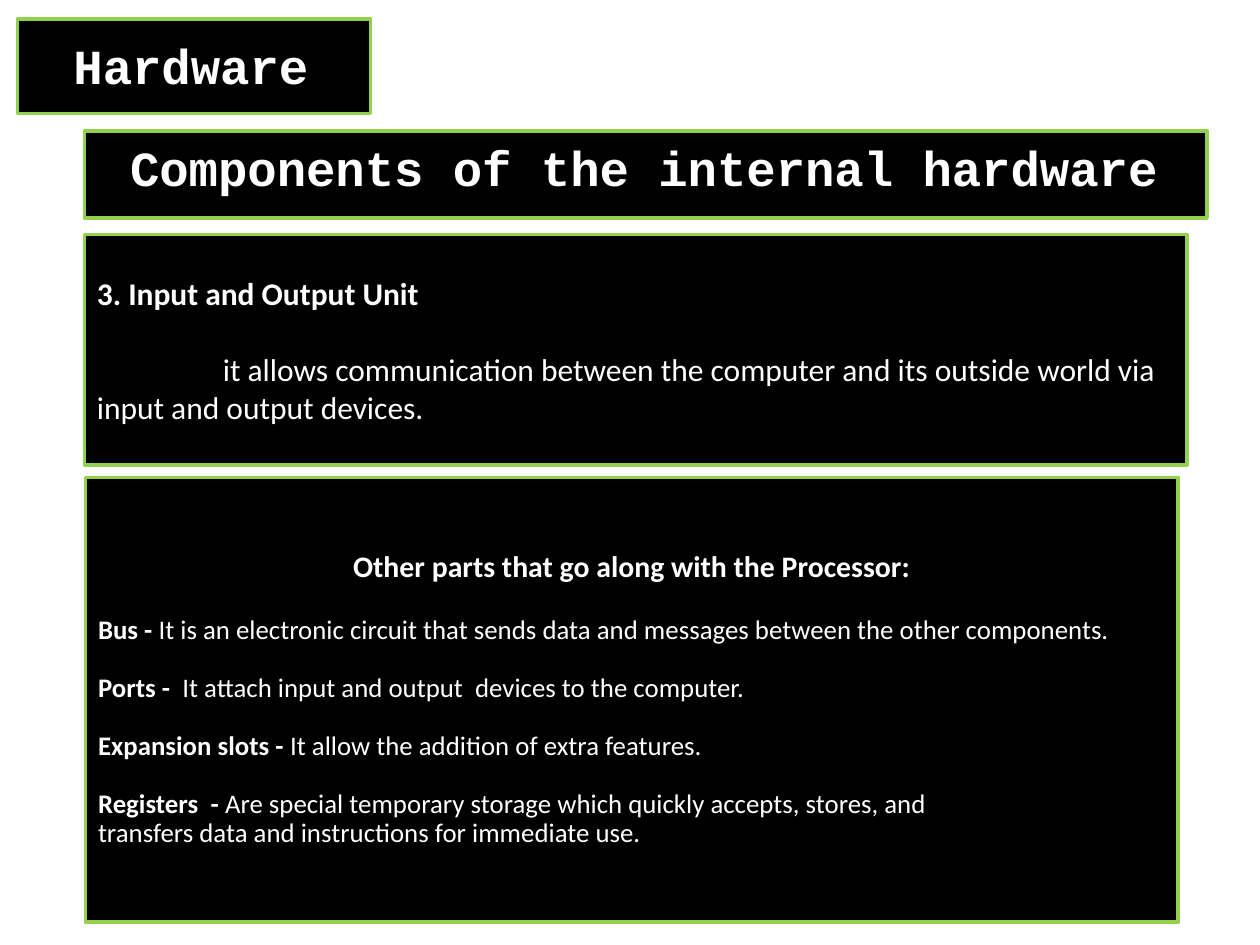
from pptx import Presentation
from pptx.dml.color import RGBColor
from pptx.enum.shapes import MSO_SHAPE
from pptx.enum.text import MSO_ANCHOR, MSO_AUTO_SIZE, PP_ALIGN
from pptx.util import Inches, Pt

COLORS = {"panel": "000000", "border": "92D050", "text": "FFFFFF"}
COLUMNS, ROWS = 100, 75
CELL = Inches(10) // COLUMNS
HEADING_FONT, BODY_FONT = "Courier New", "Calibri"

PARTS = [
    ("Bus - ", "It is an electronic circuit that sends data and messages between the other components."),
    ("Ports - ", " It attach input and output  devices to the computer."),
    ("Expansion slots - ", "It allow the addition of extra features."),
    ("Registers  - ", "Are special temporary storage which quickly accepts, stores, and\v"
                      "transfers data and instructions for immediate use."),
]


def color(name):
    return RGBColor.from_string(COLORS[name])


def on_grid(*cells):
    return [round(cell * CELL) for cell in cells]


def add_panel(shapes, area):
    panel = shapes.add_shape(MSO_SHAPE.RECTANGLE, *on_grid(*area))
    panel.shadow.inherit = False
    panel.fill.solid()
    panel.fill.fore_color.rgb = color("panel")
    panel.line.color.rgb = color("border")
    panel.line.width = Pt(2)
    panel.text_frame.word_wrap = True
    panel.text_frame.vertical_anchor = MSO_ANCHOR.MIDDLE
    return panel


def style_paragraph(paragraph, font_name, size, bold=None, align=PP_ALIGN.LEFT):
    paragraph.alignment = align
    paragraph.font.name = font_name
    paragraph.font.size = Pt(size)
    paragraph.font.bold = bold
    paragraph.font.color.rgb = color("text")


def add_heading(page, text, panel_area, text_area):
    group = page.shapes.add_group_shape()
    add_panel(group.shapes, panel_area)
    box = group.shapes.add_textbox(*on_grid(*text_area))
    frame = box.text_frame
    frame.word_wrap = True
    frame.auto_size = MSO_AUTO_SIZE.SHAPE_TO_FIT_TEXT
    paragraph = frame.paragraphs[0]
    paragraph.text = text
    style_paragraph(paragraph, HEADING_FONT, 28, True, PP_ALIGN.CENTER)


def add_unit(page, area, title, description):
    frame = add_panel(page.shapes, area).text_frame
    heading = frame.paragraphs[0]
    heading.text = title
    style_paragraph(heading, BODY_FONT, 18, True)
    body = frame.add_paragraph()
    body.text = description
    style_paragraph(body, BODY_FONT, 18)
    body.space_before = Pt(22)
    body._p.get_or_add_pPr().set("indent", str(Inches(1)))


def add_definition(frame, term, meaning, gap):
    paragraph = frame.add_paragraph()
    style_paragraph(paragraph, BODY_FONT, 15.3)
    paragraph.line_spacing = 0.9
    paragraph.space_before = Pt(gap)
    span = paragraph.add_run()
    span.text = term
    span.font.bold = True
    for index, line in enumerate(meaning.split("\v")):
        if index:
            paragraph.add_line_break()
        paragraph.add_run().text = line
    for span in paragraph.runs:
        span.font.size = Pt(15.3)
        span.font.name = BODY_FONT
        span.font.color.rgb = color("text")


def add_definitions(page, area, title, definitions):
    frame = add_panel(page.shapes, area).text_frame
    heading = frame.paragraphs[0]
    heading.text = title
    style_paragraph(heading, BODY_FONT, 17, True, PP_ALIGN.CENTER)
    heading.line_spacing = 0.9
    for index, (term, meaning) in enumerate(definitions):
        add_definition(frame, term, meaning, 16.7 if index else 18.7)


def main():
    deck = Presentation()
    deck.slide_width, deck.slide_height = on_grid(COLUMNS, ROWS)
    page = deck.slides.add_slide(deck.slide_layouts[6])
    add_heading(page, "Hardware", (1.4, 1.5, 28, 7.5), (1.4, 2.3, 27.5, 5.7))
    add_heading(page, "Components of the internal hardware",
                (6.7, 10.4, 89.1, 6.9), (8.9, 10.4, 84.4, 5.7))
    add_unit(page, (6.7, 18.6, 87.5, 18.3), "3. Input and Output Unit",
             "it allows communication between the computer and its outside world "
             "via input and output devices.")
    add_definitions(page, (6.8, 37.9, 86.7, 35.3),
                    "Other parts that go along with the Processor:", PARTS)
    deck.save("out.pptx")


if __name__ == "__main__":
    main()
